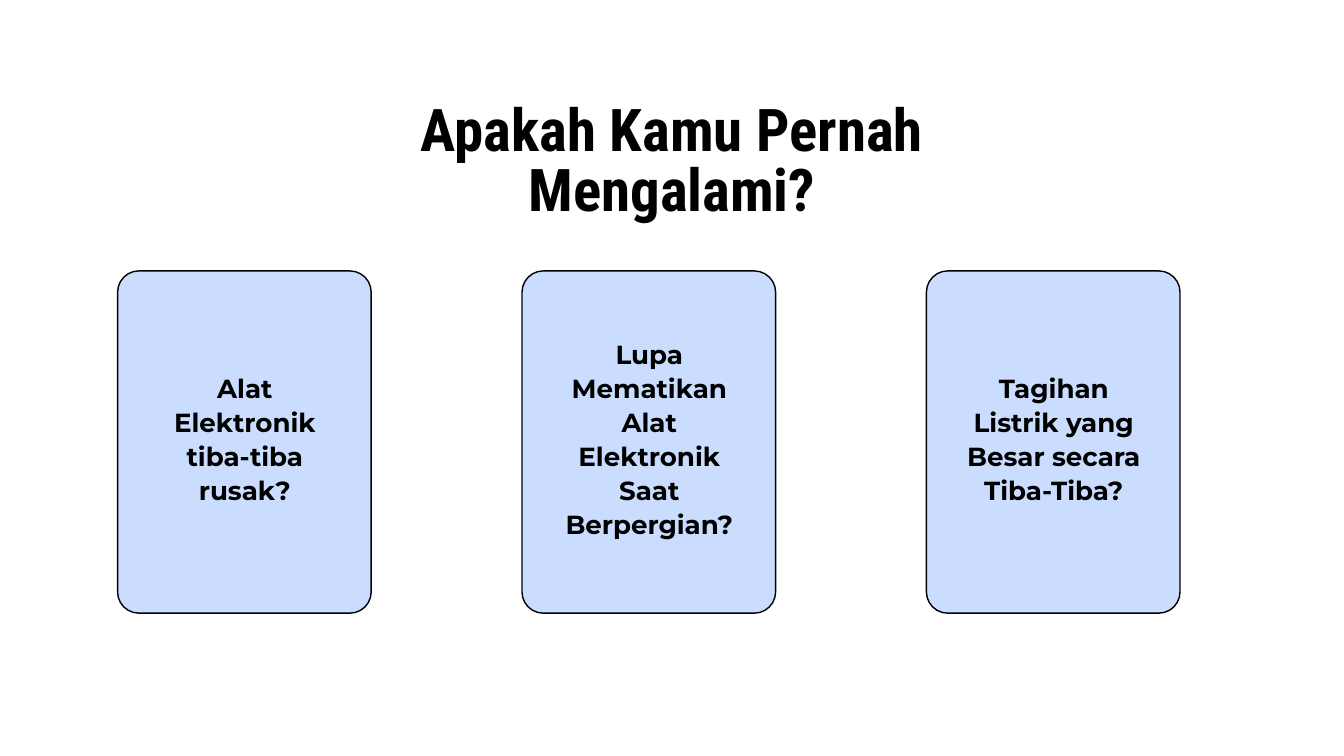
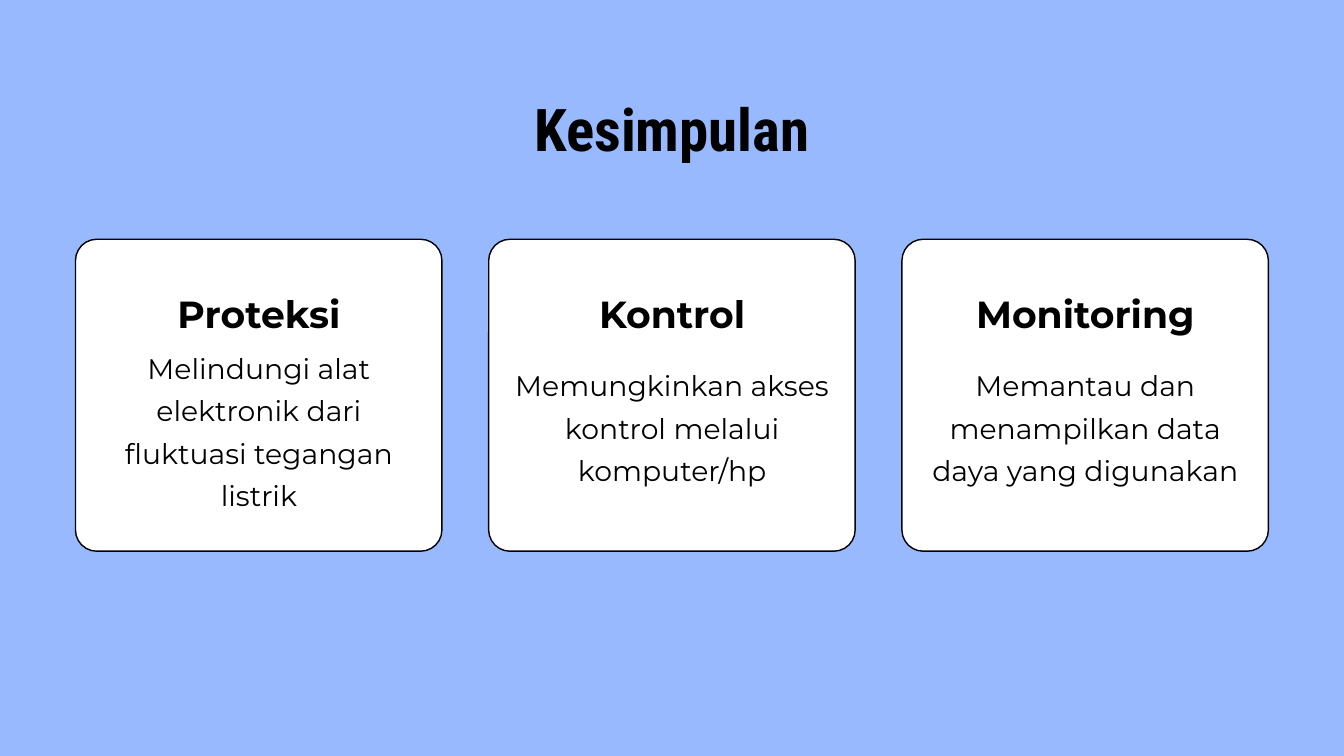
import pptx
import pptx.dml.color
import pptx.enum.shapes
import pptx.enum.text
import pptx.util

Pt = pptx.util.Pt
RGBColor = pptx.dml.color.RGBColor

BLACK = RGBColor(0x00, 0x00, 0x00)
WHITE = RGBColor(0xFF, 0xFF, 0xFF)
PALE_BLUE = RGBColor(0xCA, 0xDD, 0xFF)
SKY_BLUE = RGBColor(0x99, 0xB9, 0xFF)

TITLE_FONT = "Roboto Condensed"
BODY_FONT = "Montserrat"
CARD_RADIUS = 22.75


class Deck:
    """Holds the shared style and the slide being filled."""

    def __init__(self):
        self.prs = pptx.Presentation()
        self.prs.slide_width = Pt(1440)
        self.prs.slide_height = Pt(810)
        self.s = None

    def slide(self, background, title):
        self.s = self.prs.slides.add_slide(self.prs.slide_layouts[6])
        fill = self.s.background.fill
        fill.solid()
        fill.fore_color.rgb = background
        self.text(title, 366.5, 111.6, 707, 68.4, 63.1, 63.8, font=TITLE_FONT)

    def card(self, left, top, width, height, color):
        sp = self.s.shapes.add_shape(
            pptx.enum.shapes.MSO_SHAPE.ROUNDED_RECTANGLE,
            Pt(left), Pt(top), Pt(width), Pt(height))
        sp.adjustments[0] = CARD_RADIUS / min(width, height)
        sp.shadow.inherit = False
        sp.fill.solid()
        sp.fill.fore_color.rgb = color
        sp.line.color.rgb = BLACK
        sp.line.width = Pt(1.5)

    def text(self, text, left, top, width, height, size, spacing,
             bold=True, font=BODY_FONT):
        """Add centred text; spacing is the exact line pitch in points."""
        sp = self.s.shapes.add_textbox(Pt(left), Pt(top), Pt(width), Pt(height))
        tf = sp.text_frame
        tf.margin_left = tf.margin_top = tf.margin_right = tf.margin_bottom = 0
        tf.word_wrap = True
        tf.auto_size = pptx.enum.text.MSO_AUTO_SIZE.SHAPE_TO_FIT_TEXT
        p = tf.paragraphs[0]
        p.alignment = pptx.enum.text.PP_ALIGN.CENTER
        p.line_spacing = Pt(spacing)
        r = p.add_run()
        r.text = text
        r.font.name = font
        r.font.size = Pt(size)
        r.font.bold = bold
        r.font.color.rgb = BLACK


def question_slide(deck):
    deck.slide(WHITE, "Apakah Kamu Pernah Mengalami?")
    questions = [
        ("Alat Elektronik tiba-tiba rusak?", 4),
        ("Lupa Mematikan Alat Elektronik Saat Berpergian?", 6),
        ("Tagihan Listrik yang Besar secara Tiba-Tiba?", 4),
    ]
    text_middle = 467.4
    for i, (question, lines) in enumerate(questions):
        left = 126 + i * 433.3
        height = 36 * lines - 1.4
        deck.card(left, 290.3, 271.7, 366.7, PALE_BLUE)
        deck.text(question, left + 31.6, text_middle - height / 2,
                  209.5, height, 28, 36.4)


def conclusion_slide(deck):
    deck.slide(SKY_BLUE, "Kesimpulan")
    conclusions = [
        ("Proteksi", "Melindungi alat elektronik dari fluktuasi tegangan listrik",
         367.2, 179.3),
        ("Kontrol", "Memungkinkan akses kontrol melalui komputer/hp",
         385.9, 133.9),
        ("Monitoring", "Memantau dan menampilkan data daya yang digunakan",
         385.9, 133.9),
    ]
    for i, (heading, detail, detail_top, detail_height) in enumerate(conclusions):
        left = 80.9 + i * 442.75
        text_left = left + CARD_RADIUS
        deck.card(left, 256.4, 392.6, 334.2, WHITE)
        deck.text(heading, text_left, 307.4, 347.6, 50.4, 40.4, 52.6)
        deck.text(detail, text_left, detail_top, 347.6, detail_height,
                  30.3, 45.5, bold=False)


def main():
    deck = Deck()
    question_slide(deck)
    conclusion_slide(deck)
    deck.prs.save("out.pptx")


if __name__ == "__main__":
    main()
